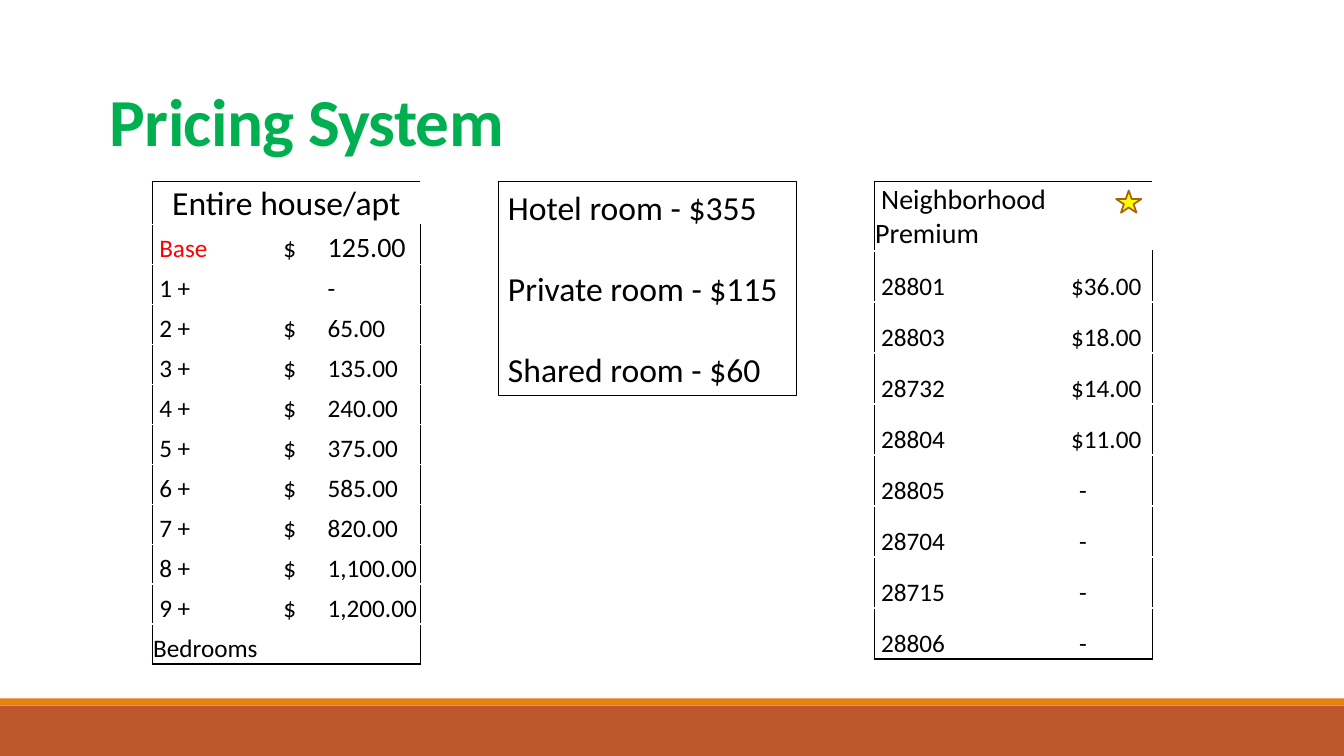
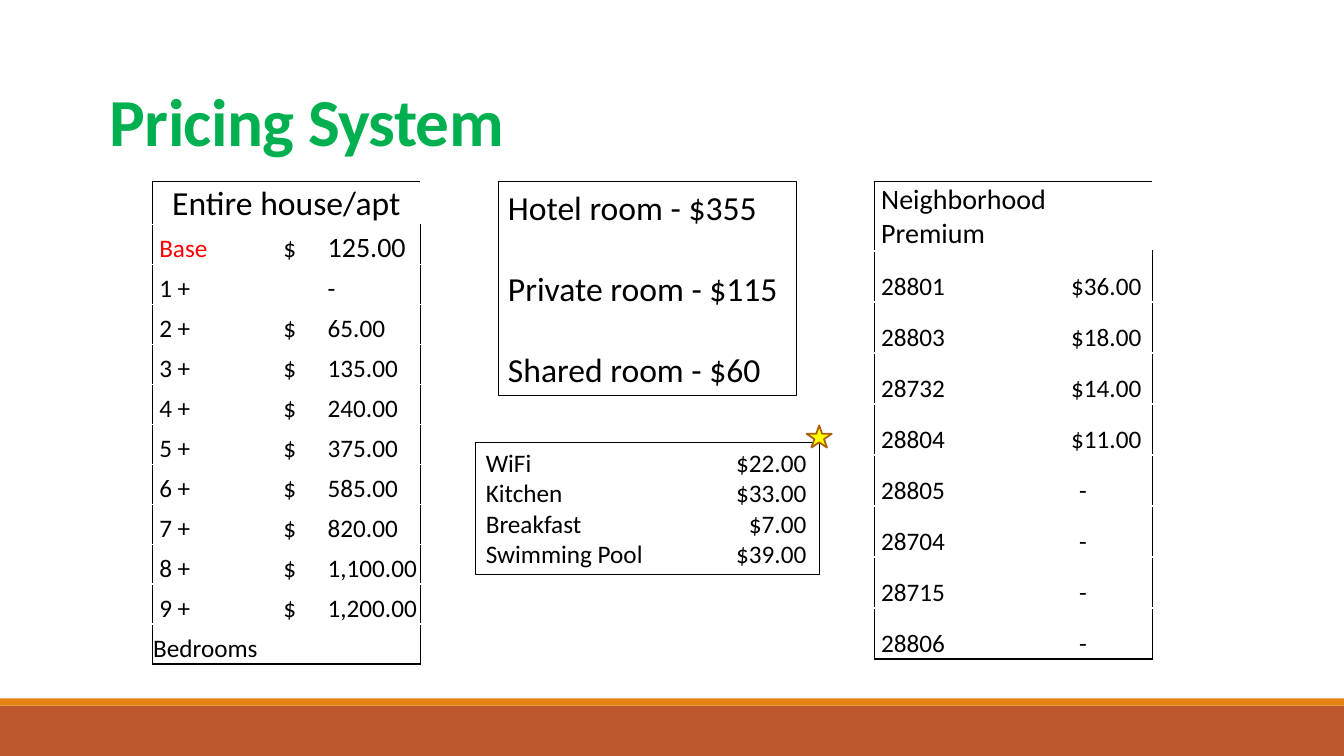
import pptx
import pptx.dml.color
import pptx.enum.shapes
import pptx.enum.text
import pptx.oxml.xmlchemy
import pptx.util
from dataclasses import dataclass

Inches, Pt = pptx.util.Inches, pptx.util.Pt
Shape = pptx.enum.shapes.MSO_SHAPE
Align = pptx.enum.text.PP_ALIGN
Anchor = pptx.enum.text.MSO_ANCHOR
Fit = pptx.enum.text.MSO_AUTO_SIZE
make = pptx.oxml.xmlchemy.OxmlElement


@dataclass(frozen=True)
class Theme:
    font: str = "Calibri"
    black: str = "000000"
    white: str = "FFFFFF"
    red: str = "FF0000"
    green: str = "00B050"
    rust: str = "BD582C"
    orange: str = "E48312"
    yellow: str = "FFFF00"
    brown: str = "A9610D"
    title: int = 48
    head: int = 24
    mid: int = 20
    body: int = 18


T = Theme()

# Content
TITLE = "Pricing System"
HOUSE_HEAD = "Entire house/apt"
HOUSE = [
    ("Base", "125.00"), ("1 +", "-"), ("2 +", "65.00"), ("3 +", "135.00"),
    ("4 +", "240.00"), ("5 +", "375.00"), ("6 +", "585.00"), ("7 +", "820.00"),
    ("8 +", "1,100.00"), ("9 +", "1,200.00"), ("Bedrooms", ""),
]
ROOMS = ["Hotel room - $355", "Private room - $115", "Shared room - $60"]
AREAS = [
    ("28801", "$36.00"), ("28803", "$18.00"), ("28732", "$14.00"),
    ("28804", "$11.00"), ("28805", "-"), ("28704", "-"), ("28715", "-"),
    ("28806", "-"),
]
EXTRAS = [("WiFi", "$22.00"), ("Kitchen", "$33.00"),
          ("Breakfast", "$7.00"), ("Swimming Pool", "$39.00")]
SLIDES = [
    {"area": ["Neighborhood Premium"], "extras": [], "star": (11.07, 1.89)},
    {"area": ["Neighborhood", "Premium"], "extras": EXTRAS, "star": (8, 4.22)},
]

# Layout, in inches
BANDS = [(7, 0.5, T.rust), (6.93, 0.07, T.orange)]
TOP = 1.8
INDENT = 0.06
PRICE_TAB, DASH_TAB, EXTRA_TAB = 1.28, 1.05, 3.18


def rgb(code):
    return pptx.dml.color.RGBColor.from_string(code)


def box(place):
    return [Inches(n) for n in place]


# Text
def add_run(par, text, size=T.body, color=T.black):
    run = par.add_run()
    run.text = text
    run.font.name = T.font
    run.font.size = Pt(size)
    run.font.color.rgb = rgb(color)
    return run


def add_tab(par, pos):
    tabs = make("a:tabLst")
    tab = make("a:tab")
    tab.set("pos", str(Inches(pos)))
    tab.set("algn", "r")
    tabs.append(tab)
    par._p.get_or_add_pPr().append(tabs)


def indent(par):
    par._p.get_or_add_pPr().set("indent", str(Inches(INDENT)))


def next_par(frame, i):
    return frame.add_paragraph() if i else frame.paragraphs[0]


# Shapes
def add_shape(slide, kind, place, fill=None, line=None, width=0.75):
    shape = slide.shapes.add_shape(kind, *box(place))
    shape.shadow.inherit = False
    if fill:
        shape.fill.solid()
        shape.fill.fore_color.rgb = rgb(fill)
    else:
        shape.fill.background()
    if line:
        shape.line.color.rgb = rgb(line)
        shape.line.width = Pt(width)
    else:
        shape.line.fill.background()
    return shape


def add_list(slide, place, count):
    """Outlined box; returns its left-aligned paragraphs."""
    frame = add_shape(slide, Shape.RECTANGLE, place, line=T.black).text_frame
    frame.word_wrap = True
    frame.vertical_anchor = Anchor.TOP
    pars = [next_par(frame, i) for i in range(count)]
    for par in pars:
        par.alignment = Align.LEFT
    return pars


# Tables
def set_edge(cell, side, color):
    line = make("a:ln" + side)
    line.set("w", str(Pt(1)))
    fill = make("a:solidFill")
    tint = make("a:srgbClr")
    tint.set("val", color)
    fill.append(tint)
    line.append(fill)
    cell._tc.get_or_add_tcPr().append(line)


def add_grid(slide, place, cols, rows, head):
    """Two-column table, black outside and white inside, merged top row."""
    grid = slide.shapes.add_table(rows + 1, 2, *box(place)).table
    grid.first_row = grid.horz_banding = False
    for col, width in zip(grid.columns, cols):
        col.width = Inches(width)
    for r, row in enumerate(grid.rows):
        row.height = Inches((place[3] - head) / rows if r else head)
        for c, cell in enumerate(row.cells):
            cell.vertical_anchor = Anchor.BOTTOM
            cell.margin_left = cell.margin_right = Inches(0.01)
            cell.margin_top, cell.margin_bottom = Inches(0.01), 0
            outer = {"L": c == 0, "R": c == 1, "T": r == 0, "B": r == rows}
            for side, edge in outer.items():
                set_edge(cell, side, T.black if edge else T.white)
            cell.fill.background()
    grid.cell(0, 0).merge(grid.cell(0, 1))
    return grid


def first_par(grid, row, col):
    return grid.cell(row, col).text_frame.paragraphs[0]


def add_house(slide):
    grid = add_grid(slide, (1.51, TOP, 2.66, 4.79), (1.23, 1.43),
                    len(HOUSE), 0.43)
    par = first_par(grid, 0, 0)
    par.alignment = Align.CENTER
    add_run(par, HOUSE_HEAD, T.head)
    for r, (name, price) in enumerate(HOUSE, 1):
        base = name == "Base"
        par = first_par(grid, r, 0)
        add_run(par, name, color=T.red if base else T.black)
        if not price:
            continue
        indent(par)
        par = first_par(grid, r, 1)
        indent(par)
        dash = price == "-"
        add_tab(par, DASH_TAB if dash else PRICE_TAB)
        add_run(par, "\t" if dash else "$\t")
        add_run(par, price, T.mid if base else T.body)


def add_areas(slide, heads):
    grid = add_grid(slide, (8.67, TOP, 2.77, 4.73), (1.38, 1.38),
                    len(AREAS), 0.68)
    top = grid.cell(0, 0)
    top.margin_right = Inches(0.4)
    for i, head in enumerate(heads):
        par = next_par(top.text_frame, i)
        indent(par)
        add_run(par, head, T.mid)
    for r, (code, price) in enumerate(AREAS, 1):
        par = first_par(grid, r, 0)
        indent(par)
        add_run(par, code)
        par = first_par(grid, r, 1)
        if price == "-":
            par.alignment = Align.CENTER
        else:
            par.alignment = Align.RIGHT
            grid.cell(r, 1).margin_right = Inches(0.11)
        add_run(par, price)


# Boxes
def add_rooms(slide):
    pars = add_list(slide, (4.94, TOP, 2.96, 2.12), len(ROOMS))
    for i, (par, room) in enumerate(zip(pars, ROOMS)):
        if i:
            par.space_before = Pt(29.3)
        add_run(par, room, T.head)


def add_extras(slide, extras):
    pars = add_list(slide, (4.72, 4.39, 3.41, 1.31), len(extras))
    for par, (name, price) in zip(pars, extras):
        add_tab(par, EXTRA_TAB)
        add_run(par, name + "\t" + price)


# Shared parts
def add_bands(deck, slide):
    """Draw the bottom bands once and place them on the master."""
    tree = deck.slide_master.shapes._spTree
    for top, height, color in BANDS:
        band = add_shape(slide, Shape.RECTANGLE, (0, top, 13.33, height), color)
        tree.append(band._element)


def add_title(slide):
    title = slide.shapes.title
    title.left, title.top, title.width, title.height = box((0.99, 0.32, 11, 1.32))
    frame = title.text_frame
    frame.auto_size = Fit.NONE
    frame.word_wrap = True
    frame.vertical_anchor = Anchor.BOTTOM
    par = frame.paragraphs[0]
    par.alignment = Align.LEFT
    par.line_spacing = 0.85
    run = add_run(par, TITLE, T.title, T.green)
    run.font.bold = True
    run._r.get_or_add_rPr().set("spc", "-50")


def main():
    deck = pptx.Presentation()
    deck.slide_width, deck.slide_height = box((13.33, 7.5))
    for i, part in enumerate(SLIDES):
        slide = deck.slides.add_slide(deck.slide_layouts[5])
        if i == 0:
            add_bands(deck, slide)
        add_title(slide)
        add_house(slide)
        add_rooms(slide)
        add_areas(slide, part["area"])
        if part["extras"]:
            add_extras(slide, part["extras"])
        add_shape(slide, Shape.STAR_5_POINT, (*part["star"], 0.25, 0.22),
                  T.yellow, T.brown, 1.25)
    deck.save("out.pptx")


if __name__ == "__main__":
    main()
